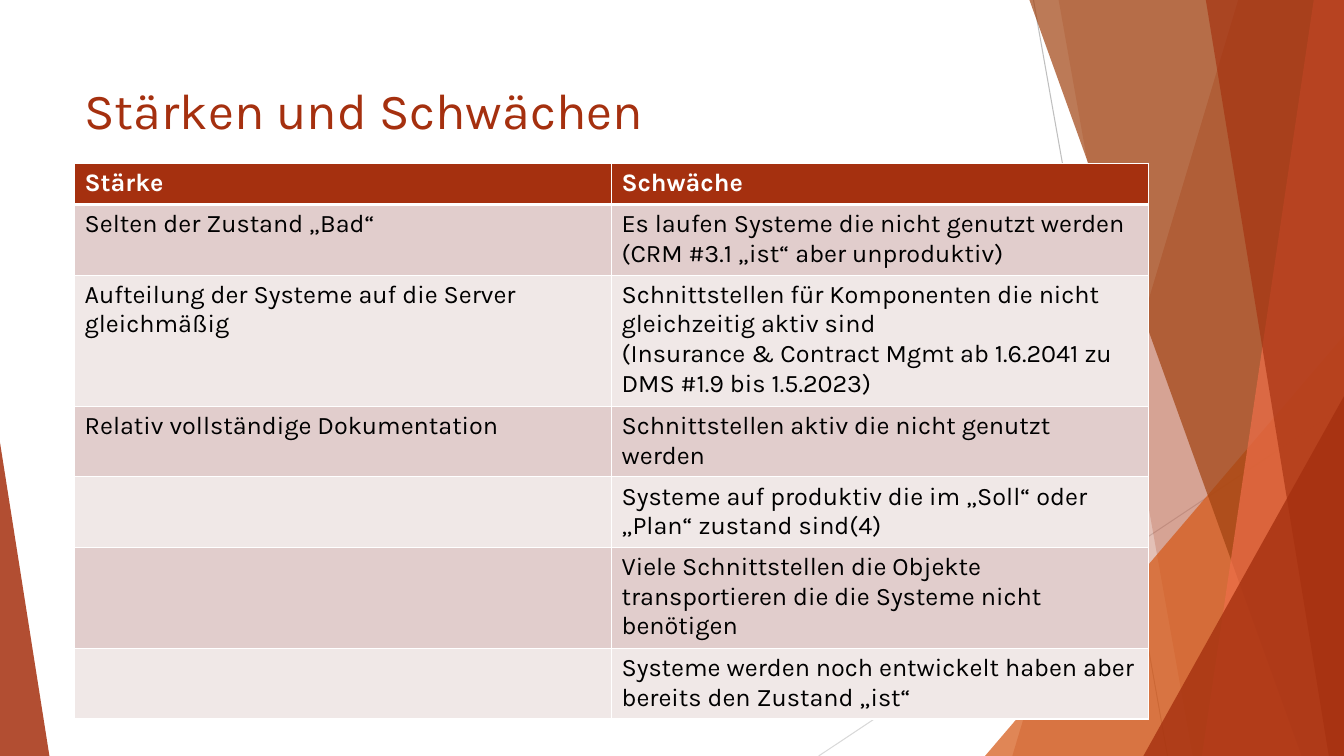
from collections import namedtuple

from lxml import etree
from pptx import Presentation
from pptx.dml.color import RGBColor
from pptx.enum import shapes, text
from pptx.oxml import ns
from pptx.util import Inches, Pt

Box = namedtuple("Box", "left top width height")
FONT = "Karla"
RUST = "A5300F"
WHITE = "FFFFFF"
BANDS = ["E1CDCC", "F0E8E7"]
RIGHT_FACETS = [
    ("panel", 4.28, 2.04, RUST, 30),
    ("panel", 2.5, 3.83, RUST, 20),
    ("triangle", 1.77, 3.33, "D55816", 72),
    ("panel", 2.21, 4.91, "A04210", 70),
    ("panel", 5.03, 3.92, "EE6E4A", 70),
    ("panel", 3.96, 5.18, RUST, 65),
    ("triangle", 3.34, 3.93, RUST, 80),
]
COMPARISON = [
    (0.41, ["Stärke"], ["Schwäche"]),
    (0.69, ["Selten der Zustand „Bad“"],
     ["Es laufen Systeme die nicht genutzt werden (CRM #3.1 „ist“ aber unproduktiv)"]),
    (1.28, ["Aufteilung der Systeme auf die Server gleichmäßig"],
     ["Schnittstellen für Komponenten die nicht gleichzeitig aktiv sind",
      "(Insurance & Contract Mgmt ab 1.6.2041 zu DMS #1.9 bis 1.5.2023)"]),
    (0.69, ["Relativ vollständige Dokumentation"],
     ["Schnittstellen aktiv die nicht genutzt werden"]),
    (0.69, [], ["Systeme auf produktiv die im „Soll“ oder „Plan“ zustand sind(4)"]),
    (0.98, [], ["Viele Schnittstellen die Objekte transportieren die die Systeme nicht benötigen"]),
    (0.69, [], ["Systeme werden noch entwickelt haben aber bereits den Zustand „ist“"]),
]


def paint(color_format, color):
    """Set a colour format from a hex string."""
    color_format.rgb = RGBColor.from_string(color)


def fill_facet(facet, color, opacity):
    """Give a facet a translucent fill without outline or shadow."""
    facet.shadow.inherit = False
    facet.line.fill.background()
    facet.fill.solid()
    paint(facet.fill.fore_color, color)
    srgb = facet.fill._xPr.find(".//" + ns.qn("a:srgbClr"))
    etree.SubElement(srgb, ns.qn("a:alpha"), val=str(opacity * 1000))


def add_triangle(slide, box, apex, color, opacity):
    """Add a triangle with its apex at a share of the width."""
    triangle = slide.shapes.add_shape(
        shapes.MSO_SHAPE.ISOSCELES_TRIANGLE, *map(Inches, box))
    triangle.adjustments[0] = apex
    fill_facet(triangle, color, opacity)


def add_panel(slide, box, top_x, bottom_x, color, opacity):
    """Add a panel from a slanted left edge to the right edge of the box."""
    right, bottom = box.left + box.width, box.top + box.height
    corners = [(box.left + top_x, box.top), (right, box.top),
               (right, bottom), (box.left + bottom_x, bottom)]
    points = [(Inches(x), Inches(y)) for x, y in corners]
    outline = slide.shapes.build_freeform(*points[0], scale=1.0)
    outline.add_line_segments(points[1:], close=True)
    fill_facet(outline.convert_to_shape(), color, opacity)


def add_hairline(slide, start, end, color):
    """Add a thin straight line without shadow."""
    hairline = slide.shapes.add_connector(
        shapes.MSO_CONNECTOR.STRAIGHT, *map(Inches, start + end))
    hairline.line.width = Pt(0.75)
    paint(hairline.line.color, color)
    etree.SubElement(hairline._element.spPr, ns.qn("a:effectLst"))


def add_right_facets(slide, box):
    """Build the layered facets along the right edge."""
    right, bottom = box.left + box.width, box.top + box.height
    add_hairline(slide, (box.left + 2.25, box.top), (box.left + 3.58, bottom), "BFBFBF")
    add_hairline(slide, (right, box.top + 4.03), (box.left + 0.12, bottom), "D9D9D9")
    for kind, first, second, color, opacity in RIGHT_FACETS:
        if kind == "panel":
            add_panel(slide, box, first, second, color, opacity)
        else:
            corner = Box(box.left + first, box.top + second,
                         box.width - first, box.height - second)
            add_triangle(slide, corner, 1, color, opacity)


def add_words(paragraph, words, size, color, bold=False):
    """Add one formatted run."""
    run = paragraph.add_run()
    run.text = words
    run.font.name = FONT
    run.font.size = Pt(size)
    run.font.bold = bold
    paint(run.font.color, color)


def add_title(slide, box, words):
    """Add the slide title."""
    frame = slide.shapes.add_textbox(*map(Inches, box)).text_frame
    frame.word_wrap = True
    frame.vertical_anchor = text.MSO_ANCHOR.MIDDLE
    add_words(frame.paragraphs[0], words, 36, RUST)


def add_borders(cell, widths):
    """Draw white cell borders with the given point widths by side."""
    properties = cell._tc.get_or_add_tcPr()
    for side, width in widths.items():
        border = etree.SubElement(properties, ns.qn("a:ln" + side), w=str(Pt(width)))
        solid = etree.SubElement(border, ns.qn("a:solidFill"))
        etree.SubElement(solid, ns.qn("a:srgbClr"), val=WHITE)


def add_comparison(slide, box, rows):
    """Build the table of strengths and weaknesses."""
    table = slide.shapes.add_table(len(rows), 2, *map(Inches, box)).table
    for column in table.columns:
        column.width = Inches(box.width / 2)
    for index, (height, *entries) in enumerate(rows):
        header = index == 0
        table.rows[index].height = Inches(height)
        for cell, lines in zip(table.rows[index].cells, entries):
            add_borders(cell, {"L": 1, "R": 1, "T": 3 if index == 1 else 1,
                               "B": 3 if header else 1})
            cell.fill.solid()
            paint(cell.fill.fore_color, RUST if header else BANDS[(index - 1) % 2])
            frame = cell.text_frame
            for number, words in enumerate(lines):
                paragraph = frame.add_paragraph() if number else frame.paragraphs[0]
                add_words(paragraph, words, 18, WHITE if header else "000000", header)


def build_slide(deck):
    """Compose the strengths and weaknesses slide."""
    slide = deck.slides.add_slide(deck.slide_layouts[6])
    add_right_facets(slide, Box(8, 0, 5.33, 7.5))
    add_triangle(slide, Box(0, 4.39, 0.49, 3.11), 0, RUST, 85)
    add_title(slide, Box(0.74, 0.67, 9.4, 0.82), "Stärken und Schwächen")
    add_comparison(slide, Box(0.74, 1.62, 10.65, 5.43), COMPARISON)


deck = Presentation()
deck.slide_width, deck.slide_height = Inches(13.33), Inches(7.5)
build_slide(deck)
deck.save("out.pptx")
